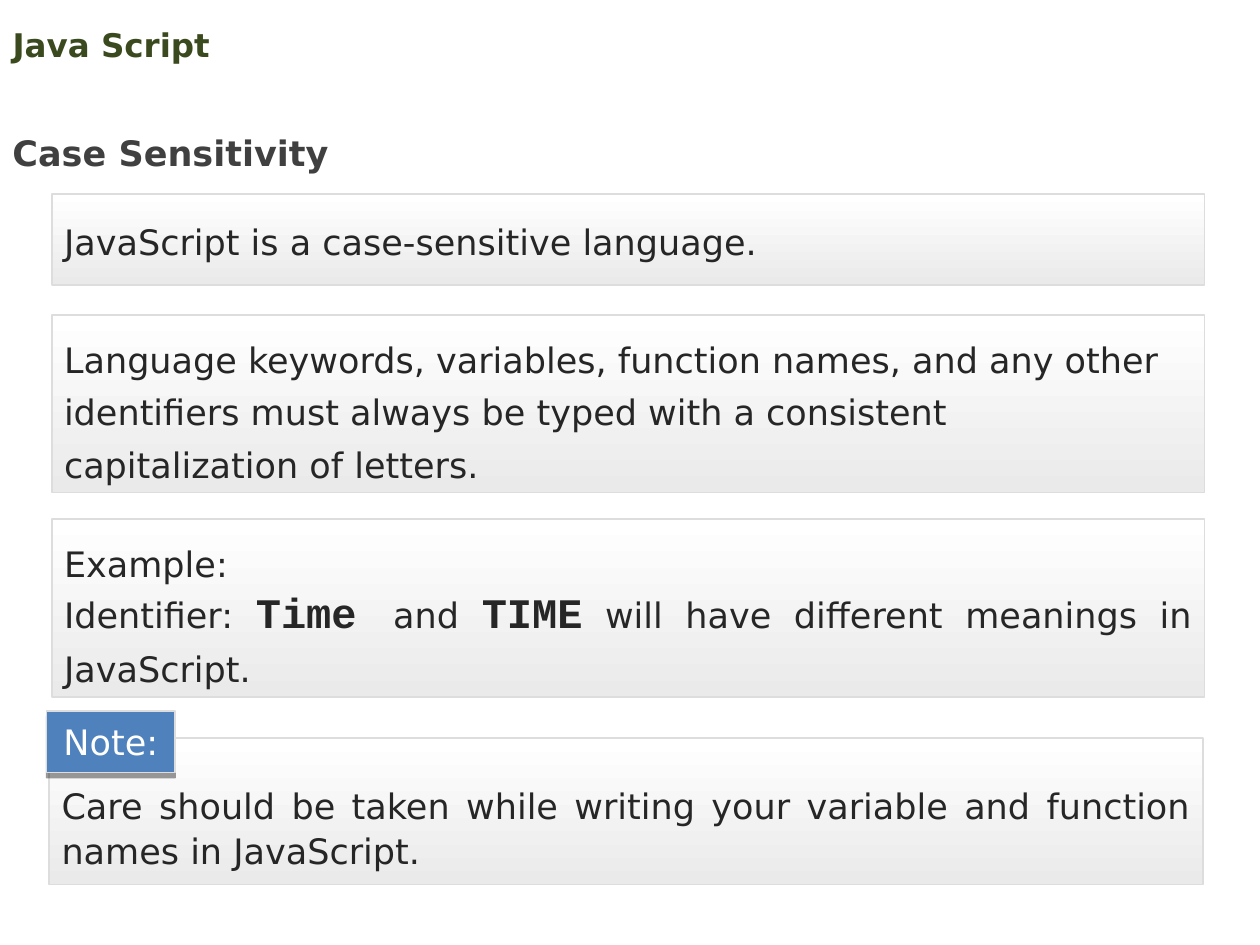
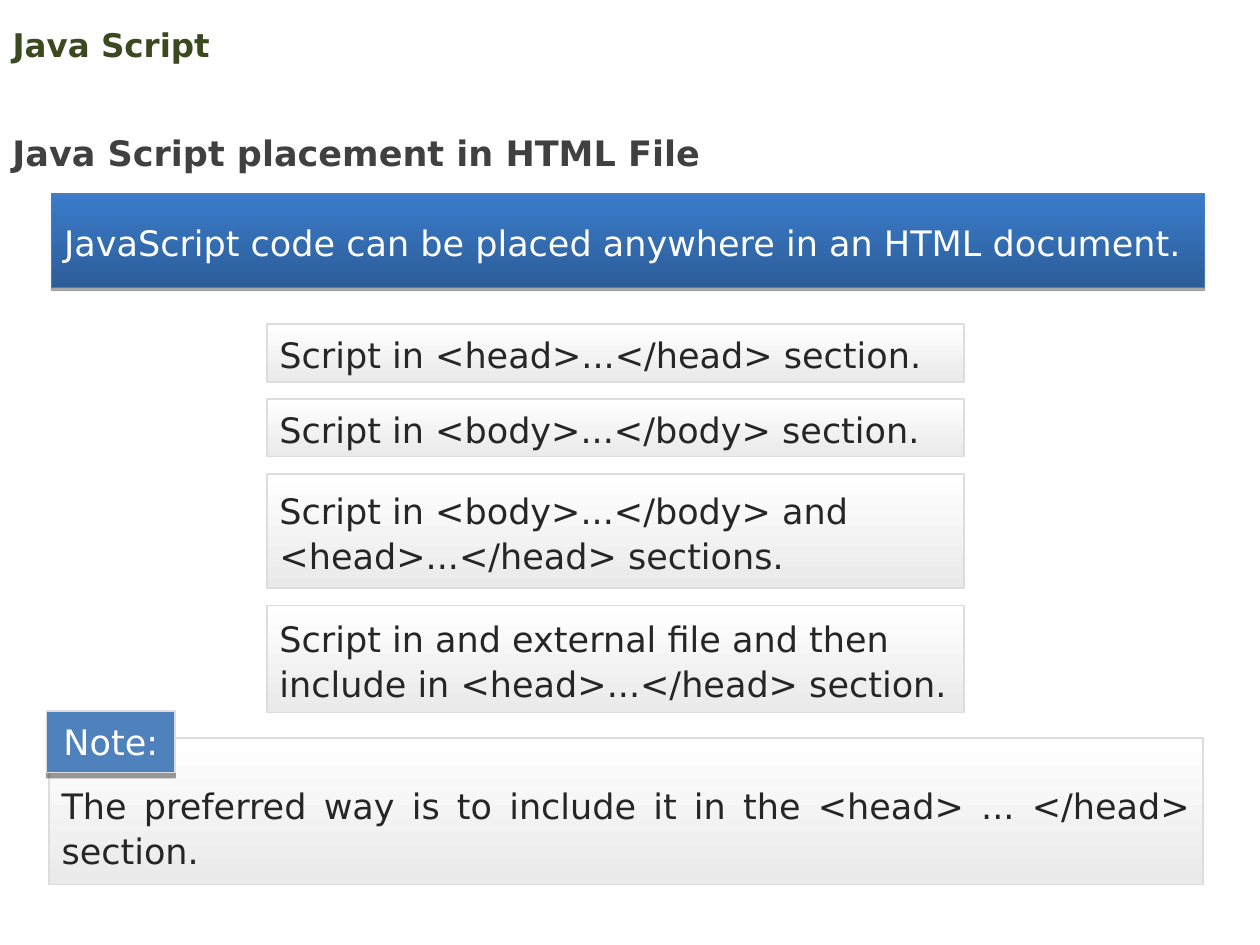
from pptx import Presentation
from pptx.dml.color import RGBColor
from pptx.enum.shapes import MSO_SHAPE as Kind
from pptx.enum.text import MSO_ANCHOR as Anchor, MSO_AUTO_SIZE as Fit, PP_ALIGN as Align
from pptx.oxml.ns import qn
from pptx.util import Inches, Pt
from lxml.etree import SubElement

# Content: plain text is a string, mixed text a list of (text, is_code)
TITLE = "Java Script"
CASE = {
    "head": "Case Sensitivity",
    "width": 4.65,
    "note": "Care should be taken while writing your variable and function names in JavaScript.",
}
RULE = "JavaScript is a case-sensitive language."
NAMES = ("Language keywords, variables, function names, and any other identifiers "
         "must always be typed with a consistent capitalization of letters.")
SAMPLE = [
    "Example:",
    [("Identifier: ", False), ("Time ", True), ("and ", False), ("TIME", True),
     (" will have different meanings in JavaScript.", False)],
]
PLACE = {
    "head": "Java Script placement in HTML File",
    "width": 5.76,
    "note": "The preferred way is to include it in the <head> ... </head> section.",
}
LEAD = "JavaScript code can be placed anywhere in an HTML document."
SPOTS = [  # height, paragraphs
    (0.46, ["Script in <head>...</head> section."]),
    (0.46, ["Script in <body>...</body> section."]),
    (0.91, ["Script in <body>...</body> and", "<head>...</head> sections."]),
    (0.85, ["Script in and external file and then include in <head>...</head> section."]),
]

# Shared look
FONT, CODE = "DejaVu Sans", "Courier New"
OLIVE, GREY, INK, WHITE = "3B4A1E", "404040", "262626", "FFFFFF"
EDGE, BLUE, RIM = "DDDDDD", "4F81BD", "4A7EBB"
PALE, DEEP = (WHITE, "EAEAEA"), ("3A7CCB", "2C5D98")
LEFT, WIDE, TOP = 0.41, 9.15, 1.54
GAP = 0.135


def color(code):
    return RGBColor.from_string(code)


def style(par, size, ink, bold=False):
    font = par.font
    font.name, font.size, font.bold = FONT, Pt(size), bold
    font.color.rgb = color(ink)


def write(shape, pars, ink=INK, pitch=26, align=Align.LEFT, anchor=Anchor.MIDDLE, pad=0.1):
    frame = shape.text_frame
    frame.word_wrap, frame.vertical_anchor = True, anchor
    frame.margin_left = frame.margin_right = Inches(pad)
    frame.margin_top = frame.margin_bottom = Inches(pad)
    for i, text in enumerate(pars):
        par = frame.add_paragraph() if i else frame.paragraphs[0]
        par.alignment = align
        if pitch:
            par.line_spacing = Pt(pitch)
        style(par, 20, ink)
        for piece, code in [(text, False)] if isinstance(text, str) else text:
            run = par.add_run()
            run.text = piece
            if code:
                run.font.name, run.font.size, run.font.bold = CODE, Pt(24), True


def drop(shape, dist, alpha):
    """Give a shape a hard shadow straight below it."""
    effects = shape._element.spPr.find(qn("a:effectLst"))
    shade = SubElement(effects, qn("a:outerShdw"), blurRad="0", dist=str(Pt(dist)),
                       dir="5400000", rotWithShape="0")
    black = SubElement(shade, qn("a:srgbClr"), val="000000")
    SubElement(black, qn("a:alpha"), val=str(alpha * 1000))


def panel(shapes, place, pars, tint=PALE, edge=EDGE, rim=1, **text):
    """Draw a box with a solid tint or a (top, bottom) gradient."""
    box = shapes.add_shape(Kind.RECTANGLE, *map(Inches, place))
    box.shadow.inherit = False
    if isinstance(tint, str):
        box.fill.solid()
        box.fill.fore_color.rgb = color(tint)
    else:
        box.fill.gradient()
        box.fill.gradient_angle = 270
        for stop, code, spot in zip(box.fill.gradient_stops, tint, (0, 1)):
            stop.color.rgb, stop.position = color(code), spot
    box.line.color.rgb, box.line.width = color(edge), Pt(rim)
    write(box, pars, **text)
    return box


def start(deck, page):
    """Add a slide with its title, heading and note."""
    slide = deck.slides.add_slide(deck.slide_layouts[5])
    title = slide.shapes.title
    title.left, title.top, title.width, title.height = map(Inches, (0, 0.14, 9, 0.43))
    frame = title.text_frame
    frame.text, frame.auto_size = TITLE, Fit.NONE
    frame.vertical_anchor = Anchor.MIDDLE
    frame.paragraphs[0].alignment = Align.LEFT
    style(frame.paragraphs[0], 18.6, OLIVE, True)

    head = slide.shapes.add_textbox(*map(Inches, (0, 0.83, page["width"], 0.6)))
    frame = head.text_frame
    frame.text, frame.word_wrap = page["head"], True
    frame.auto_size = Fit.SHAPE_TO_FIT_TEXT
    frame.paragraphs[0].line_spacing = 1.5
    style(frame.paragraphs[0], 20, GREY, True)
    return slide.shapes


def note(shapes, text):
    parts = shapes.add_group_shape().shapes
    panel(parts, (0.39, 5.86, 9.16, 1.16), [text], align=Align.JUSTIFY, anchor=Anchor.BOTTOM)
    tag = panel(parts, (0.37, 5.64, 1.02, 0.49), ["Note:"], tint=BLUE, ink=WHITE,
                pitch=None, align=Align.CENTER, pad=0)
    drop(tag, 3, 40)


def main():
    deck = Presentation()
    deck.slide_width, deck.slide_height = Inches(10), Inches(7.5)

    # Case sensitivity
    shapes = start(deck, CASE)
    panel(shapes, (LEFT, TOP, WIDE, 0.72), [RULE])
    panel(shapes, (LEFT, 2.5, WIDE, 1.41), [NAMES], pitch=30, anchor=Anchor.TOP)
    panel(shapes, (LEFT, 4.12, WIDE, 1.41), SAMPLE, pitch=30, anchor=Anchor.TOP,
          align=Align.JUSTIFY)
    note(shapes, CASE["note"])

    # Script placement: a lead bar above a stack of boxes
    shapes = start(deck, PLACE)
    lead = panel(shapes, (LEFT, TOP, WIDE, 0.74), [LEAD], tint=DEEP, edge=RIM, rim=0.75,
                 ink=WHITE)
    drop(lead, 1.8, 35)
    top = 2.57
    for high, pars in SPOTS:
        panel(shapes, (2.12, top, 5.53, high), pars)
        top += high + GAP
    note(shapes, PLACE["note"])

    deck.save("out.pptx")


if __name__ == "__main__":
    main()
